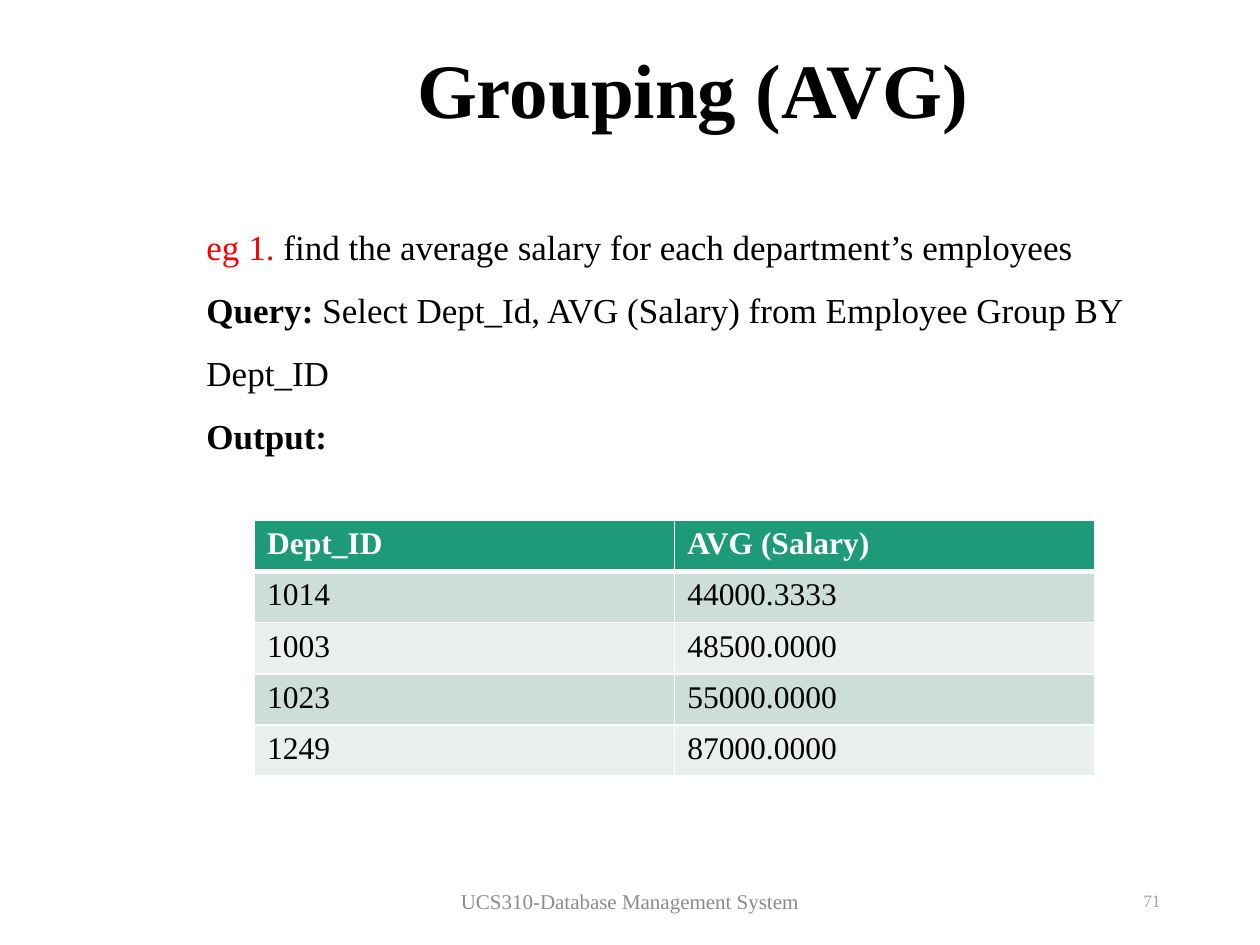
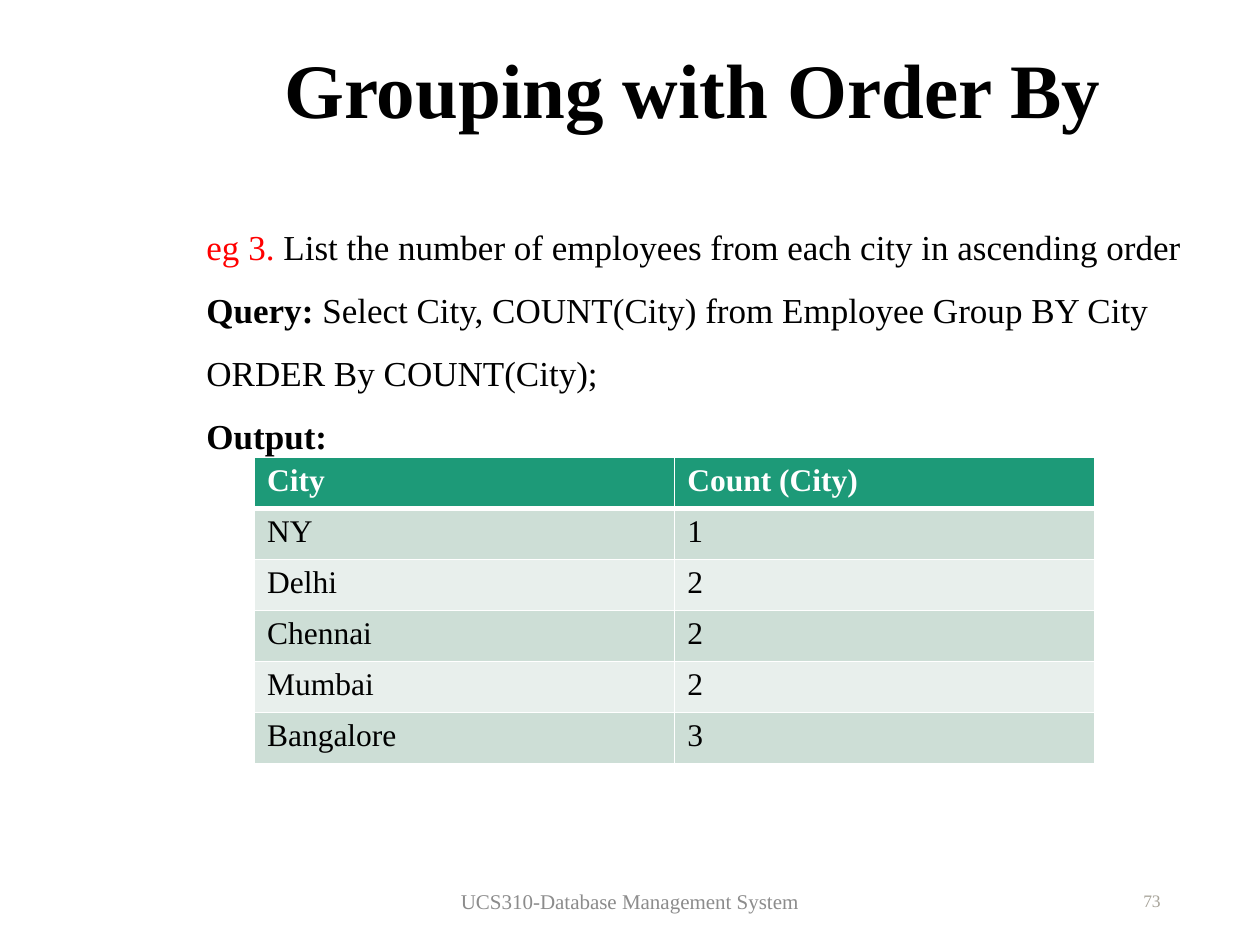
from lxml import etree
from pptx import Presentation
from pptx.dml.color import RGBColor
from pptx.enum.text import MSO_ANCHOR, PP_ALIGN
from pptx.oxml.ns import qn
from pptx.util import Inches, Pt

BLACK = RGBColor(0x00, 0x00, 0x00)
WHITE = RGBColor(0xFF, 0xFF, 0xFF)
RED = RGBColor(0xFF, 0x00, 0x00)
GREEN = RGBColor(0x1D, 0x9A, 0x78)
BANDS = (RGBColor(0xE8, 0xEF, 0xEC), RGBColor(0xCD, 0xDE, 0xD6))
GREY = RGBColor(0x8C, 0x8C, 0x8C)
PALE = RGBColor(0xA7, 0xA3, 0x99)

LEFT, CENTER, RIGHT = PP_ALIGN.LEFT, PP_ALIGN.CENTER, PP_ALIGN.RIGHT
TOP, MIDDLE = MSO_ANCHOR.TOP, MSO_ANCHOR.MIDDLE

FONT = "Times New Roman"
FOOTER = "UCS310-Database Management System"


class Deck:
    """Holds the shared style and the current slide."""

    def __init__(self):
        self.prs = Presentation()
        self.prs.slide_width = Inches(10)
        self.prs.slide_height = Inches(7.5)
        self.slide = None

    def start(self):
        self.slide = self.prs.slides.add_slide(self.prs.slide_layouts[6])

    def run(self, para, text, size, color=BLACK, bold=False):
        run = para.add_run()
        run.text = text
        font = run.font
        font.name, font.size, font.bold = FONT, Pt(size), bold
        font.color.rgb = color

    def text(self, box, paras, size, align=LEFT, anchor=MIDDLE, space=None):
        """Each paragraph is a list of (text, color, bold) runs."""
        shape = self.slide.shapes.add_textbox(*(Inches(n) for n in box))
        frame = shape.text_frame
        frame.word_wrap = True
        frame.vertical_anchor = anchor
        for i, runs in enumerate(paras):
            para = frame.add_paragraph() if i else frame.paragraphs[0]
            para.alignment = align
            para.line_spacing = space
            for text, color, bold in runs:
                self.run(para, text, size, color, bold)

    def title(self, text):
        self.text((1.25, 0.33, 8.5, 0.83), [[(text, BLACK, True)]], 44,
                  CENTER, space=0.9)

    def number(self, num):
        self.text((7.06, 6.95, 2.25, 0.4), [[(str(num), PALE, False)]], 10,
                  RIGHT)

    def footer(self):
        self.text((3.31, 6.95, 3.38, 0.4), [[(FOOTER, GREY, False)]], 12,
                  CENTER)

    def body(self, label, task, query):
        paras = [
            [(label, RED, False), (task, BLACK, False)],
            [("Query: ", BLACK, True), (query, BLACK, False)],
            [("Output:", BLACK, True)],
        ]
        self.text((1.54, 1.57, 8.21, 2.52), paras, 20, anchor=TOP,
                  space=Pt(36))

    def border(self, cell, side, width):
        props = cell._tc.get_or_add_tcPr()
        line = etree.SubElement(props, qn("a:ln" + side), w=str(Pt(width)))
        fill = etree.SubElement(line, qn("a:solidFill"))
        etree.SubElement(fill, qn("a:srgbClr"), val=str(WHITE))

    def table(self, top, height, rows):
        frame = self.slide.shapes.add_table(
            len(rows), len(rows[0]), Inches(2.02), Inches(top),
            Inches(6.67), Inches(height))
        table = frame.table
        table.horz_banding = False
        for r, row in enumerate(rows):
            head = r == 0
            # The line under the header is thicker
            sides = {"L": 1, "R": 1, "T": 3 if r == 1 else 1,
                     "B": 3 if head else 1}
            for c, text in enumerate(row):
                cell = table.cell(r, c)
                for side, width in sides.items():
                    self.border(cell, side, width)
                cell.fill.solid()
                cell.fill.fore_color.rgb = GREEN if head else BANDS[r % 2]
                self.run(cell.text_frame.paragraphs[0], text, 18,
                         WHITE if head else BLACK, head)

    def example(self, title, num, body, top, height, rows):
        self.start()
        self.title(title)
        self.number(num)
        self.body(*body)
        self.table(top, height, rows)
        self.footer()


def main():
    deck = Deck()

    # Average per department
    deck.example(
        "Grouping (AVG)", 71,
        ("eg 1. ", "find the average salary for each department’s employees",
         "Select Dept_Id, AVG (Salary) from Employee Group BY Dept_ID"),
        4.13, 2.03,
        [("Dept_ID", "AVG (Salary)"),
         ("1014", "44000.3333"),
         ("1003", "48500.0000"),
         ("1023", "55000.0000"),
         ("1249", "87000.0000")])

    # Ordered count per city
    deck.example(
        "Grouping with Order By", 73,
        ("eg 3. ",
         "List the number of employees from each city in ascending order",
         "Select City, COUNT(City) from Employee Group BY City "
         "ORDER By COUNT(City);"),
        3.63, 2.43,
        [("City", "Count (City)"),
         ("NY", "1"),
         ("Delhi", "2"),
         ("Chennai", "2"),
         ("Mumbai", "2"),
         ("Bangalore", "3")])

    deck.prs.save("out.pptx")


if __name__ == "__main__":
    main()
